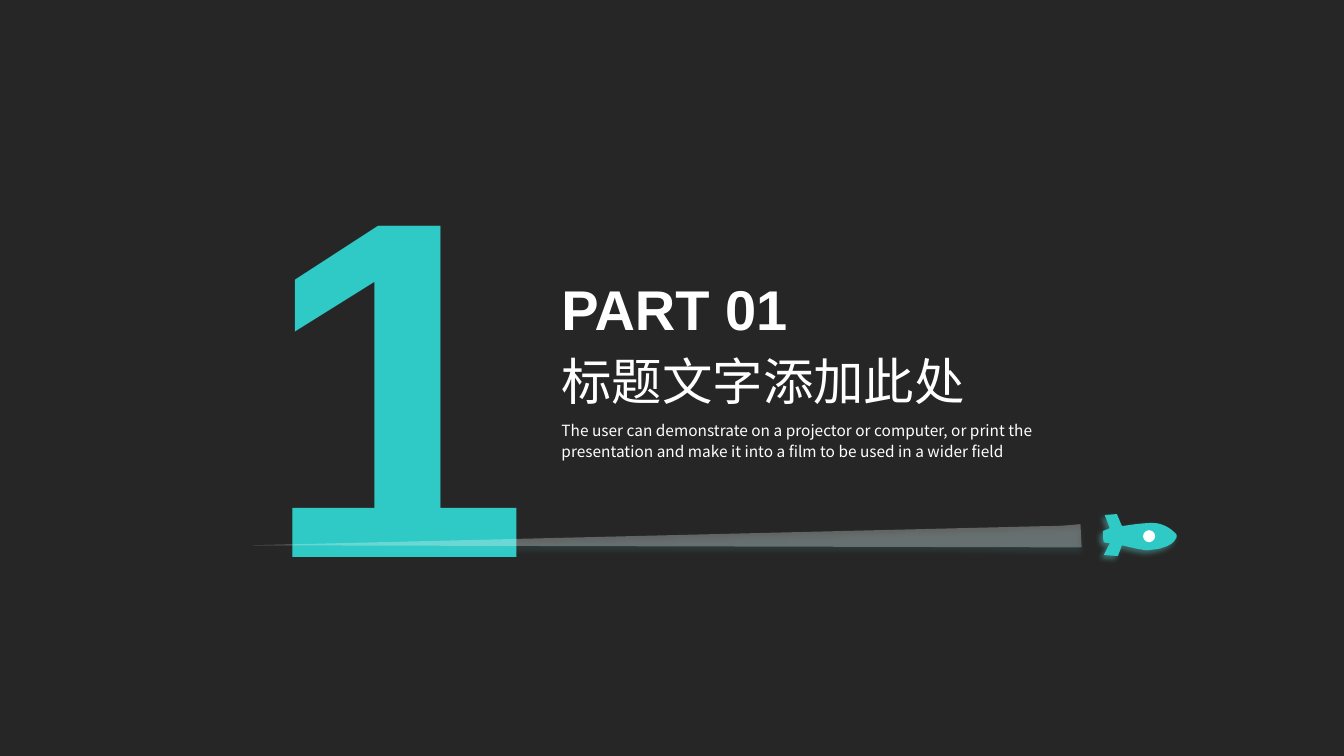
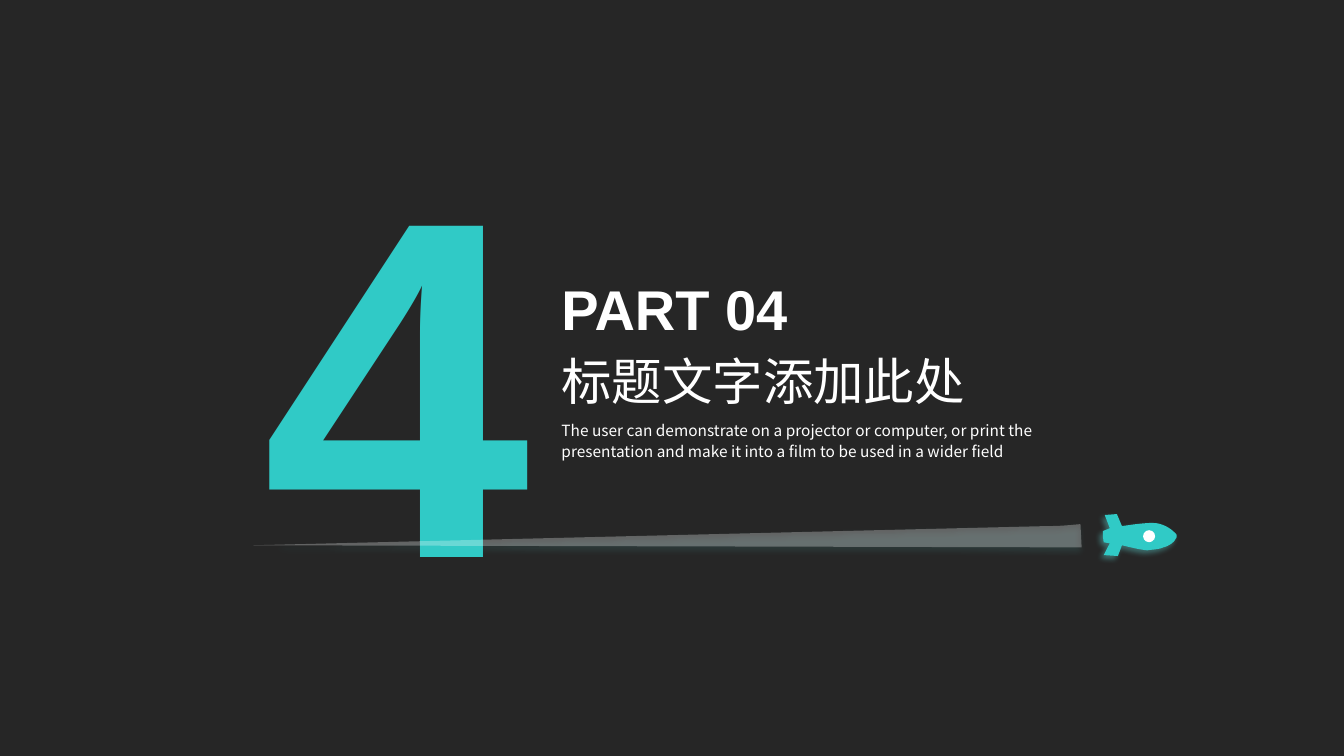
"""Build the section divider slides with a rocket and its trail."""
from math import cos, radians, sin

from lxml import etree
from pptx import Presentation
from pptx.dml.color import RGBColor
from pptx.enum.shapes import MSO_SHAPE
from pptx.enum.text import MSO_AUTO_SIZE
from pptx.oxml.ns import qn
from pptx.util import Pt

OVAL = MSO_SHAPE.OVAL
RECTANGLE = MSO_SHAPE.RECTANGLE
GROW = MSO_AUTO_SIZE.SHAPE_TO_FIT_TEXT

COLORS = {"black": "000000", "accent": "30CAC6", "glow": "61D9D6", "white": "FFFFFF"}
LATIN = "Arial"
CJK = "Noto Sans CJK SC"
CURVE_STEPS = 10
WIDTH, HEIGHT = 960, 540

TITLE = "标题文字添加此处"
SUMMARY = ("The user can demonstrate on a projector or computer, or print the "
           "presentation and make it into a film to be used in a wider field")
PARTS = [1, 4]

TRAIL = [
    [(772.6, 391)],
    [(771.8, 374.4)],
    [(763.9, 375.1), (758.9, 375.8), (748.1, 375.8)],
    [(180.7, 389.5)],
    [(759.6, 391)],
]
ROCKET = [
    [(801.4, 375.8)],
    [(806.4, 375.1), (819.4, 373), (825.8, 373.7)],
    [(831.6, 374.4), (836.6, 378), (838.8, 380.2)],
    [(841, 381.6), (841, 383.8), (839.5, 385.2)],
    [(838.8, 387.4), (834.5, 390.2), (830.9, 391)],
    [(828, 392.4), (824.4, 392.4), (819.4, 393.1)],
    [(812.9, 392.4), (807.8, 391), (801.4, 389.5)],
    [(798.5, 397.2)],
    [(788.4, 396.5)],
    [(792.7, 388.1)],
    [(788.4, 387.4)],
    [(787.7, 383)],
    [(787.7, 379.4)],
    [(792.7, 377.3)],
    [(789.1, 367.9)],
    [(797.8, 367.2)],
]


def rgb(name):
    return RGBColor.from_string(COLORS[name])


def flatten(segments):
    points = []
    for segment in segments:
        if len(segment) == 1:
            points += segment
            continue
        controls = [points[-1], *segment]
        for step in range(1, CURVE_STEPS + 1):
            t = step / CURVE_STEPS
            weights = ((1 - t) ** 3, 3 * t * (1 - t) ** 2, 3 * t ** 2 * (1 - t), t ** 3)
            points.append(tuple(sum(w * c[axis] for w, c in zip(weights, controls))
                                for axis in (0, 1)))
    return points


def turn(points, angle, pivot=(0, 0)):
    c, d = cos(radians(angle)), sin(radians(angle))
    px, py = pivot
    return [(px + (x - px) * c - (y - py) * d, py + (x - px) * d + (y - py) * c)
            for x, y in points]


def unrotate(points, angle):
    middle = tuple((min(axis) + max(axis)) / 2 for axis in zip(*turn(points, -angle)))
    pivot = turn([middle], angle)[0]
    return turn(points, -angle, pivot)


def paint(sp, color, opacity=100):
    sp.fill.solid()
    sp.fill.fore_color.rgb = rgb(color)
    sp.line.fill.background()
    sp.shadow.inherit = False
    if opacity < 100:
        clr = sp._element.spPr.find(qn("a:solidFill"))[0]
        etree.SubElement(clr, qn("a:alpha"), val=str(opacity * 1000))


def add_glow(sp):
    effects = sp._element.spPr.find(qn("a:effectLst"))
    shadow = etree.SubElement(effects, qn("a:outerShdw"), blurRad=str(Pt(4)),
                              dist=str(Pt(3)), dir=str(135 * 60000),
                              algn="tr", rotWithShape="0")
    clr = etree.SubElement(shadow, qn("a:srgbClr"), val=COLORS["glow"])
    etree.SubElement(clr, qn("a:alpha"), val="40000")


def add_outline(shapes, segments, angle, color, opacity=100):
    points = [(Pt(x), Pt(y)) for x, y in unrotate(flatten(segments), angle)]
    builder = shapes.build_freeform(*points[0])
    builder.add_line_segments(points[1:])
    sp = builder.convert_to_shape()
    sp.rotation = angle
    paint(sp, color, opacity)
    add_glow(sp)


def add_text(shapes, text, box, size, font, color="white", bold=False, wrap=True, spacing=None):
    tf = shapes.add_textbox(*map(Pt, box)).text_frame
    tf.word_wrap = wrap
    tf.auto_size = GROW
    p = tf.paragraphs[0]
    p.text = text
    if spacing:
        p.line_spacing = spacing
    p.font.size = Pt(size)
    p.font.name = font
    p.font.bold = bold
    p.font.color.rgb = rgb(color)
    etree.SubElement(p._p.pPr.find(qn("a:defRPr")), qn("a:ea"), typeface=font)


def add_rocket(s):
    shapes = s.shapes.add_group_shape().shapes
    add_outline(shapes, TRAIL, 26, "white", 28)
    add_outline(shapes, ROCKET, 26.6, "accent")
    window = shapes.add_shape(OVAL, Pt(816.5), Pt(378.7), Pt(8.6), Pt(8.6))
    paint(window, "white")


def add_heading(s, number):
    shapes = s.shapes.add_group_shape().shapes
    left = 394
    add_text(shapes, f"PART {number:02d}", (left, 192.6, 177.8, 55.4), 40, LATIN,
             bold=True, wrap=False)
    add_text(shapes, TITLE, (left, 246.2, 351.4, 51.1), 36, CJK)
    add_text(shapes, SUMMARY, (left, 295.2, 384.5, 37.4), 11, CJK, spacing=1.14)


def add_divider(prs, number):
    s = prs.slides.add_slide(prs.slide_layouts[6])
    add_text(s.shapes, str(number), (180.7, 50.9, 274.3, 424.1), 343.9, LATIN,
             color="accent", bold=True)
    add_rocket(s)
    add_heading(s, number)
    return s


def add_master_backdrop(prs, s):
    backdrop = s.shapes.add_shape(RECTANGLE, 0, 0, Pt(WIDTH), Pt(HEIGHT))
    paint(backdrop, "black", 85)
    backdrop._element.nvSpPr.cNvPr.set("id", "100")
    prs.slide_master.shapes._spTree.insert(2, backdrop._element)


def main():
    prs = Presentation()
    prs.slide_width, prs.slide_height = Pt(WIDTH), Pt(HEIGHT)
    dividers = [add_divider(prs, number) for number in PARTS]
    add_master_backdrop(prs, dividers[0])
    prs.save("out.pptx")


if __name__ == "__main__":
    main()
